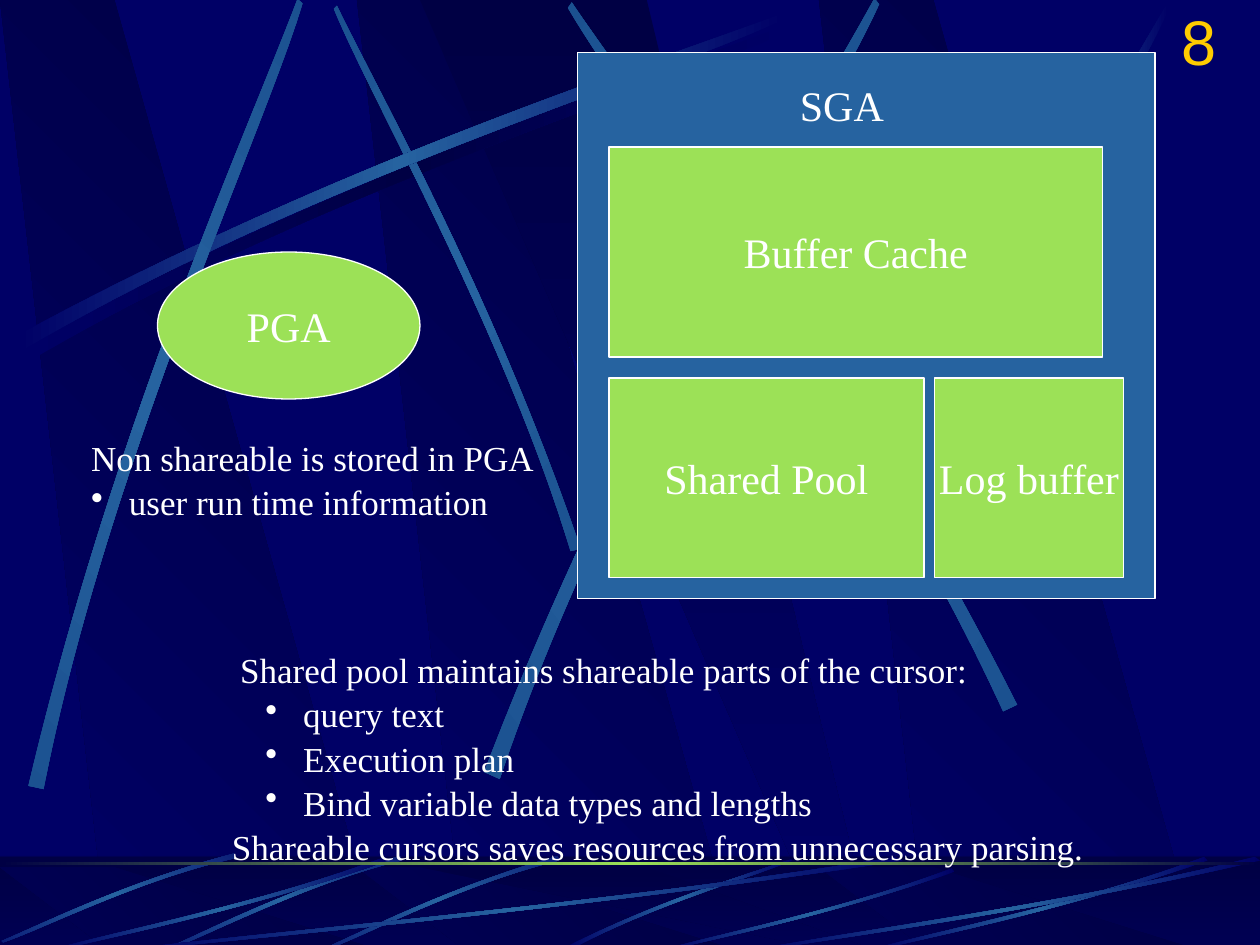
from lxml import etree
from pptx import Presentation
from pptx.dml.color import RGBColor
from pptx.enum.shapes import MSO_SHAPE
from pptx.enum.text import MSO_ANCHOR, PP_ALIGN
from pptx.oxml.ns import qn
from pptx.util import Pt

PX = 7620  # EMU per px, 120 px to the inch
RECT, OVAL = MSO_SHAPE.RECTANGLE, MSO_SHAPE.OVAL
MIDDLE, BOTTOM, TOP = MSO_ANCHOR.MIDDLE, MSO_ANCHOR.BOTTOM, MSO_ANCHOR.TOP
LEFT, CENTER, RIGHT = PP_ALIGN.LEFT, PP_ALIGN.CENTER, PP_ALIGN.RIGHT

NIGHT, NAVY, STEEL, DUSK = "000044", "000066", "2663A0", "174A8A"
GREEN, WHITE, GOLD = "9CE157", "FFFFFF", "FFCC00"
SERIF, SANS = "Times New Roman", "Arial"

# Both edges of a light ray in a unit box: start, two controls, end
RAY_EDGES = [
    (0, 0.96), (0.43, 0.43), (0.83, 0.15), (1, 0),
    (1, 0.02), (0.84, 0.19), (0.38, 0.5), (0.01, 1),
]
# Wedge outlines: x in px, y as a share of the height
SLANT = [(103, 1), (362, 1), (109, 0), (0, 0)]
BEAM = [(0, 0), (390, 1), (433, 1), (216, 0)]

# left, top, width, height, rotation, mirrored
TOP_RAYS = [
    (169, 162, 530, 210, 45, True),
    (17, 12, 730, 320, 0, False),
    (-205, 218, 730, 320, 311.7, False),
    (277, 192, 749, 361, 321.6, False),
    (388, 182, 730, 320, 34.8, True),
    (886, 0, 227, 476, 0, False),
]
FLOOR_RAYS = [
    (538, 818, 216, 88, 0, False),
    (310, 811, 221, 100, 314.9, True),
    (160, 811, 221, 100, 314.9, True),
    (6, 805, 215, 102, 314.9, True),
    (120, 816, 740, 90, 180, False),
    (50, 816, 320, 90, 180, False),
    (632, 827, 277, 79, 180, False),
    (830, 816, 320, 90, 180, False),
    (720, 816, 480, 90, 180, False),
]


def rgb(value):
    return RGBColor.from_string(value)


def px(*lengths):
    return [round(length * PX) for length in lengths]


def fill_gradient(shape, colors, angle):
    """Spread the colours evenly along a clockwise angle."""
    shape.fill.gradient()
    gradient = shape._element.spPr.find(qn("a:gradFill"))
    for child in list(gradient):
        gradient.remove(child)
    stops = etree.SubElement(gradient, qn("a:gsLst"))
    for index, color in enumerate(colors):
        position = round(100000 * index / (len(colors) - 1))
        stop = etree.SubElement(stops, qn("a:gs"), pos=str(position))
        etree.SubElement(stop, qn("a:srgbClr"), val=color)
    etree.SubElement(gradient, qn("a:lin"), ang=str(angle * 60000), scaled="0")


def add_outline(page, points, colors, angle):
    points = [tuple(px(x, y)) for x, y in points]
    builder = page.shapes.build_freeform(*points[0])
    builder.add_line_segments(points[1:])
    shape = builder.convert_to_shape()
    shape.shadow.inherit = False
    shape.line.fill.background()
    fill_gradient(shape, colors, angle)
    return shape


def bend_edges(shape):
    """Turn the three lines of each ray edge into one cubic curve."""
    lines = list(shape._element.iter(qn("a:lnTo")))
    for start in (0, 4):
        controls = lines[start:start + 3]
        curve = etree.Element(qn("a:cubicBezTo"))
        controls[0].addprevious(curve)
        for line in controls:
            curve.append(line[0])
            line.getparent().remove(line)


def add_ray(page, left, top, width, height, rotation=0, mirrored=False,
            colors=(NAVY, STEEL, NAVY)):
    points = [(left + width * (1 - x if mirrored else x), top + height * y)
              for x, y in RAY_EDGES]
    shape = add_outline(page, points, colors, 180)
    bend_edges(shape)
    shape.rotation = rotation


def add_wedges(page, top, height):
    for outline, left, angle in ((SLANT, 340, 135), (SLANT, 0, 135),
                                 (SLANT, 780, 135), (BEAM, 400, 90)):
        points = [(left + x, top + height * y) for x, y in outline]
        add_outline(page, points, (NIGHT, NAVY), angle)


def add_block(page, kind, bounds, color, line=None):
    shape = page.shapes.add_shape(kind, *px(*bounds))
    shape.shadow.inherit = False
    shape.fill.solid()
    shape.fill.fore_color.rgb = rgb(color)
    if line:
        shape.line.color.rgb = rgb(line)
        shape.line.width = Pt(0.75)
    else:
        shape.line.fill.background()
    return shape


def write_line(para, text, size, font=SERIF, color=WHITE, align=LEFT):
    para.text = text
    para.alignment = align
    for span in para.runs:
        span.font.size = Pt(size)
        span.font.name = font
        span.font.color.rgb = rgb(color)


def add_memory_area(page, kind, bounds, label):
    shape = add_block(page, kind, bounds, GREEN, WHITE)
    shape.text_frame.word_wrap = False
    shape.text_frame.vertical_anchor = MIDDLE
    write_line(shape.text_frame.paragraphs[0], label, 24, align=CENTER)


def add_text(page, bounds, anchor=TOP):
    frame = page.shapes.add_textbox(*px(*bounds)).text_frame
    frame.word_wrap = True
    frame.vertical_anchor = anchor
    return frame


def add_notes_list(page, bounds, lines):
    """Lines are (text, left margin in px, has a bullet)."""
    frame = add_text(page, bounds)
    for index, (text, margin, bulleted) in enumerate(lines):
        para = frame.add_paragraph() if index else frame.paragraphs[0]
        props = para._p.get_or_add_pPr()
        props.set("marL", str(margin * PX))
        if bulleted:
            props.set("indent", str(-36 * PX))
            etree.SubElement(props, qn("a:buChar"), char="•")
        para.line_spacing = 1.05
        write_line(para, text, 20)


def draw_backdrop(page):
    page.background.fill.solid()
    page.background.fill.fore_color.rgb = rgb(NAVY)
    add_wedges(page, 0, 902)
    add_ray(page, 24, 22, 730, 320, colors=(NAVY, NIGHT, NAVY))
    for *bounds, rotation, mirrored in TOP_RAYS:
        edge = DUSK if rotation else NAVY
        add_ray(page, *bounds, rotation, mirrored, (edge, STEEL, edge))

    floor = add_block(page, RECT, (0, 816, 1200, 90), NIGHT)
    fill_gradient(floor, (NIGHT, NAVY), 90)
    add_wedges(page, 826, 79)
    shade = add_block(page, RECT, (0, 815, 1200, 90), NIGHT)
    tint = shade._element.spPr.find(qn("a:solidFill"))[0]
    etree.SubElement(tint, qn("a:alpha"), val="50000")
    for ray in FLOOR_RAYS:
        add_ray(page, *ray)
    horizon = add_block(page, RECT, (0, 821, 1200, 3), GREEN)
    fill_gradient(horizon, (NIGHT, GREEN, NIGHT), 180)


def main():
    deck = Presentation()
    deck.slide_width, deck.slide_height = px(1200, 900)
    page = deck.slides.add_slide(deck.slide_layouts[6])
    draw_backdrop(page)

    add_block(page, RECT, (550, 50, 550, 520), STEEL, WHITE)
    add_memory_area(page, RECT, (580, 360, 300, 190), "Shared Pool")
    add_memory_area(page, RECT, (580, 140, 470, 200), "Buffer Cache")
    add_memory_area(page, RECT, (890, 360, 180, 190), "Log buffer")
    write_line(add_text(page, (750, 70, 110, 60)).paragraphs[0], "SGA", 24)
    add_memory_area(page, OVAL, (150, 240, 250, 140), "PGA")

    add_notes_list(page, (209, 610, 850, 212), [
        ("Shared pool maintains shareable parts of the cursor:", 8, False),
        ("query text", 68, True),
        ("Execution plan", 68, True),
        ("Bind variable data types and lengths", 68, True),
        ("Shareable cursors saves resources from unnecessary parsing.", 0, False),
    ])
    add_notes_list(page, (75, 408, 460, 92), [
        ("Non shareable is stored in PGA", 0, False),
        ("user run time information", 36, True),
    ])
    number = add_text(page, (920, 20, 250, 60), BOTTOM)
    write_line(number.paragraphs[0], "8", 36, SANS, GOLD, RIGHT)
    deck.save("out.pptx")


if __name__ == "__main__":
    main()
